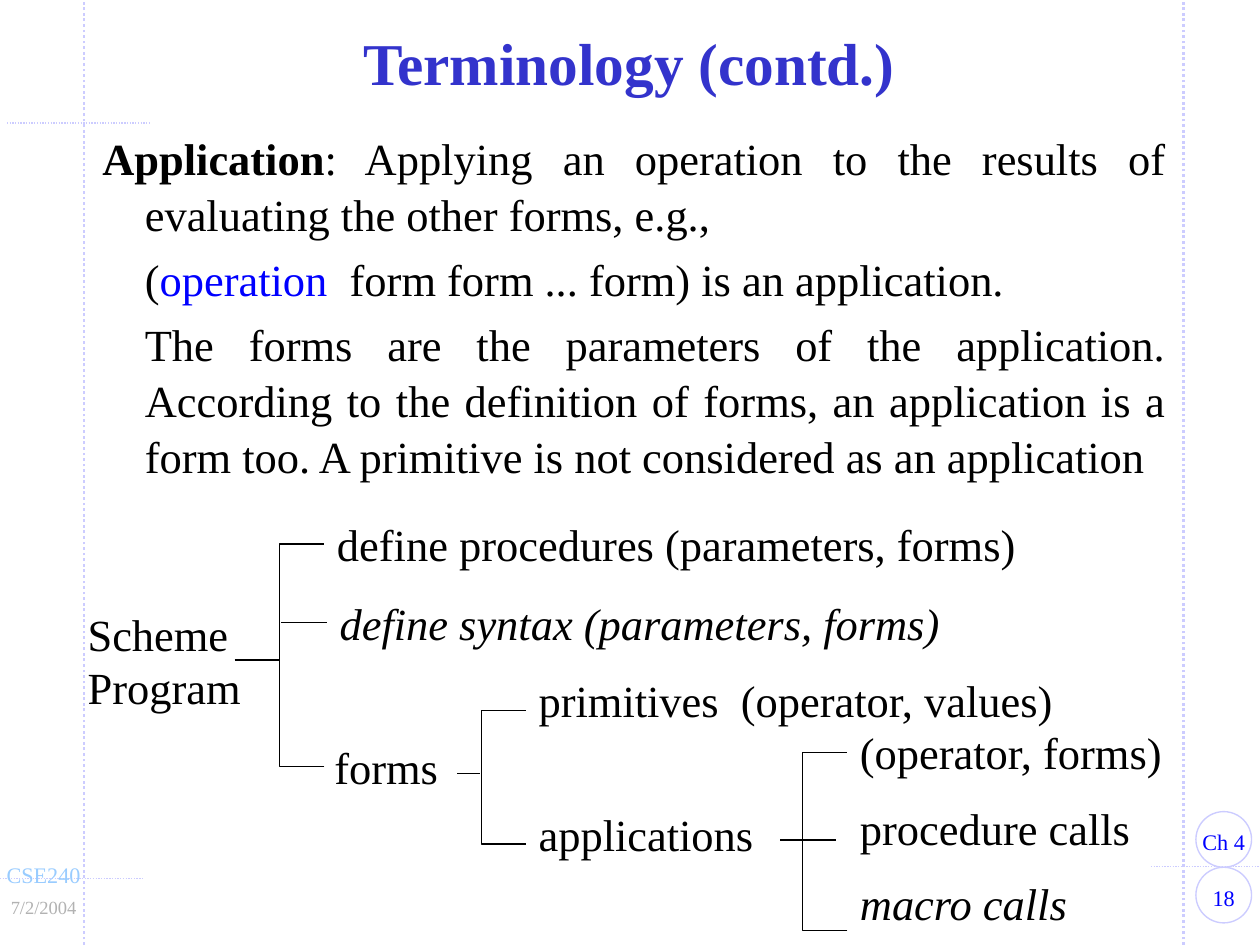
from pptx import Presentation
from pptx.dml.color import RGBColor
from pptx.enum import dml, shapes, text
from pptx.oxml import ns
from pptx.util import Cm, Pt
from lxml import etree

FONT = "Times New Roman"
BLACK = RGBColor(0x00, 0x00, 0x00)
BLUE = RGBColor(0x00, 0x00, 0xFF)
TITLE_BLUE = RGBColor(0x33, 0x33, 0xCC)
LAVENDER = RGBColor(0xCC, 0xCC, 0xFF)
SKY = RGBColor(0x99, 0xCC, 0xFF)
GREY = RGBColor(0xB2, 0xB2, 0xB2)
CENTER = text.PP_ALIGN.CENTER


def style(p, size, color, align=None, bold=None, italic=None):
    """Set the font and alignment of a whole paragraph."""
    f = p.font
    f.name, f.size, f.bold, f.italic = FONT, Pt(size), bold, italic
    f.color.rgb = color
    p.alignment = align


def text_frame(s, x, y, w, h, wrap=True):
    """Add a text box, lengths in centimetres, and return its frame."""
    tf = s.shapes.add_textbox(Cm(x), Cm(y), Cm(w), Cm(h)).text_frame
    tf.word_wrap = wrap
    return tf


def label(s, x, y, w, h, words, italic=None):
    """Add a label of the tree, which does not wrap."""
    tf = text_frame(s, x, y, w, h, wrap=False)
    for i, line in enumerate(words.split("\n")):
        p = tf.add_paragraph() if i else tf.paragraphs[0]
        p.text = line
        style(p, 24, BLACK, italic=italic)


def tag(s, x, y, w, h, words, size, color):
    """Add a small centred label without side margins."""
    tf = text_frame(s, x, y, w, h)
    tf.margin_left = tf.margin_right = 0
    p = tf.paragraphs[0]
    p.text = words
    style(p, size, color, CENTER)


def rule(s, x1, y1, x2, y2, color=BLACK, width=0.75, dash=None):
    """Draw a straight line without a shadow."""
    c = s.shapes.add_connector(shapes.MSO_CONNECTOR.STRAIGHT, Cm(x1), Cm(y1), Cm(x2), Cm(y2))
    c.line.color.rgb = color
    c.line.width = Pt(width)
    if dash:
        c.line.dash_style = dash
    etree.SubElement(c._element.spPr, ns.qn("a:effectLst"))


def bracket(s, x, y, h, w=0.85):
    """Draw a square bracket that opens to the right."""
    fb = s.shapes.build_freeform(Cm(x + w), Cm(y + h))
    fb.add_line_segments([(Cm(x), Cm(y + h)), (Cm(x), Cm(y)), (Cm(x + w), Cm(y))], close=False)
    sp = fb.convert_to_shape()
    sp.shadow.inherit = False
    sp.fill.background()
    sp.line.color.rgb = BLACK
    sp.line.width = Pt(0.75)


def add_frame(s, x, y, w, h):
    """Draw the dotted margins, course label, date and number badges."""
    dots = dml.MSO_LINE.ROUND_DOT
    for margin in (1.6, 22.55):
        rule(s, x + margin, y + h, x + margin, y, LAVENDER, 1.5, dots)
    for left, right, top in ((0.13, 2.87, 2.34), (0, 2.74, 16.74), (21.92, w, 16.5)):
        rule(s, x + left, y + top, x + right, y + top, LAVENDER, 0.75, dots)
    size, left = 1.06, x + w - 1.22
    for i, words in enumerate(("Ch 4", "18")):
        top = y + 15.46 + i * size
        sp = s.shapes.add_shape(shapes.MSO_SHAPE.OVAL, Cm(left), Cm(top), Cm(size), Cm(size))
        sp.shadow.inherit = False
        sp.fill.background()
        sp.line.color.rgb = LAVENDER
        sp.line.width = Pt(0.75)
        tag(s, left, top + 0.2, size, 0.76, words, 12, BLUE)
    tag(s, x, y + 16.28, 1.66, 0.76, "CSE240", 12, SKY)
    tag(s, x, y + 16.94, 1.66, 0.69, "7/2/2004", 10, GREY)


def add_title(s, x, y, w, h):
    """Add the slide title."""
    tf = text_frame(s, x, y, w, h)
    tf.vertical_anchor = text.MSO_ANCHOR.MIDDLE
    p = tf.paragraphs[0]
    p.text = "Terminology (contd.)"
    p.line_spacing = 0.85
    style(p, 32, TITLE_BLUE, CENTER, bold=True)


def add_definition(s, x, y, w, h):
    """Add the justified definition with a hanging first paragraph."""
    tf = text_frame(s, x, y, w, h)
    paragraphs = (
        (("Application", True, BLACK),
         (": Applying an operation to the results of evaluating the other forms, e.g.,", False, BLACK)),
        (("(", False, BLACK), ("operation", False, BLUE),
         ("  form form ... form) is an application.", False, BLACK)),
        (("The forms are the parameters of the application. According to the definition of forms, "
          "an application is a form too. A primitive is not considered as an application", False, BLACK),),
    )
    for i, runs in enumerate(paragraphs):
        p = tf.add_paragraph() if i else tf.paragraphs[0]
        pPr = p._p.get_or_add_pPr()
        pPr.set("marL", str(Cm(0.81)))
        pPr.set("indent", str(0 if i else -Cm(0.81)))
        p.line_spacing = 1.05
        if i:
            p.space_before = Pt(5)
        style(p, 24, BLACK, text.PP_ALIGN.JUSTIFY)
        for words, bold, color in runs:
            r = p.add_run()
            r.text = words
            if bold:
                r.font.bold = True
            if color != BLACK:
                r.font.color.rgb = color


def add_tree(s, x, y, w, h):
    """Draw the tree of what a Scheme program consists of."""
    for left, top, width, height, words, italic in (
        (0, 1.7, 3.43, 2.29, "Scheme\nProgram", None),
        (4.75, 0, 13.44, 1.27, "define procedures (parameters, forms)", None),
        (4.8, 1.5, 12.04, 1.27, "define syntax (parameters, forms)", True),
        (4.7, 4.24, 2.49, 1.27, "forms", None),
        (8.59, 2.97, 10.34, 1.27, "primitives  (operator, values)", None),
        (8.59, 5.51, 4.6, 1.27, "applications", None),
    ):
        label(s, x + left, y + top, width, height, words, italic)
    for left, top, height in ((3.91, 0.63, 4.24), (7.75, 3.81, 2.54), (13.87, 4.6, 3.39)):
        bracket(s, x + left, y + top, height)
    for left, right, top in ((3.05, 3.91, 2.84), (3.94, 4.8, 2.13), (7.29, 7.72, 5), (13.44, 14.51, 6.27)):
        rule(s, x + left, y + top, x + right, y + top)
    calls = 14.71
    tf = text_frame(s, x + calls, y + 3.96, w - calls, h - 3.96)
    for i, words in enumerate(("(operator, forms)", "procedure calls", "macro calls")):
        p = tf.add_paragraph() if i else tf.paragraphs[0]
        p.text = words
        if i:
            p.space_before = Pt(12)
        style(p, 24, BLACK, italic=True if i == 2 else None)


def main():
    """Build the slide and save it."""
    prs = Presentation()
    prs.slide_width, prs.slide_height = Cm(24), Cm(18)
    s = prs.slides.add_slide(prs.slide_layouts[6])
    add_frame(s, 0, 0, 24, 18)
    add_title(s, 1.75, 0.43, 20.47, 1.7)
    add_definition(s, 1.7, 2.32, 20.75, 7.82)
    add_tree(s, 1.42, 9.73, 21.64, 8.27)
    prs.save("out.pptx")


if __name__ == "__main__":
    main()
